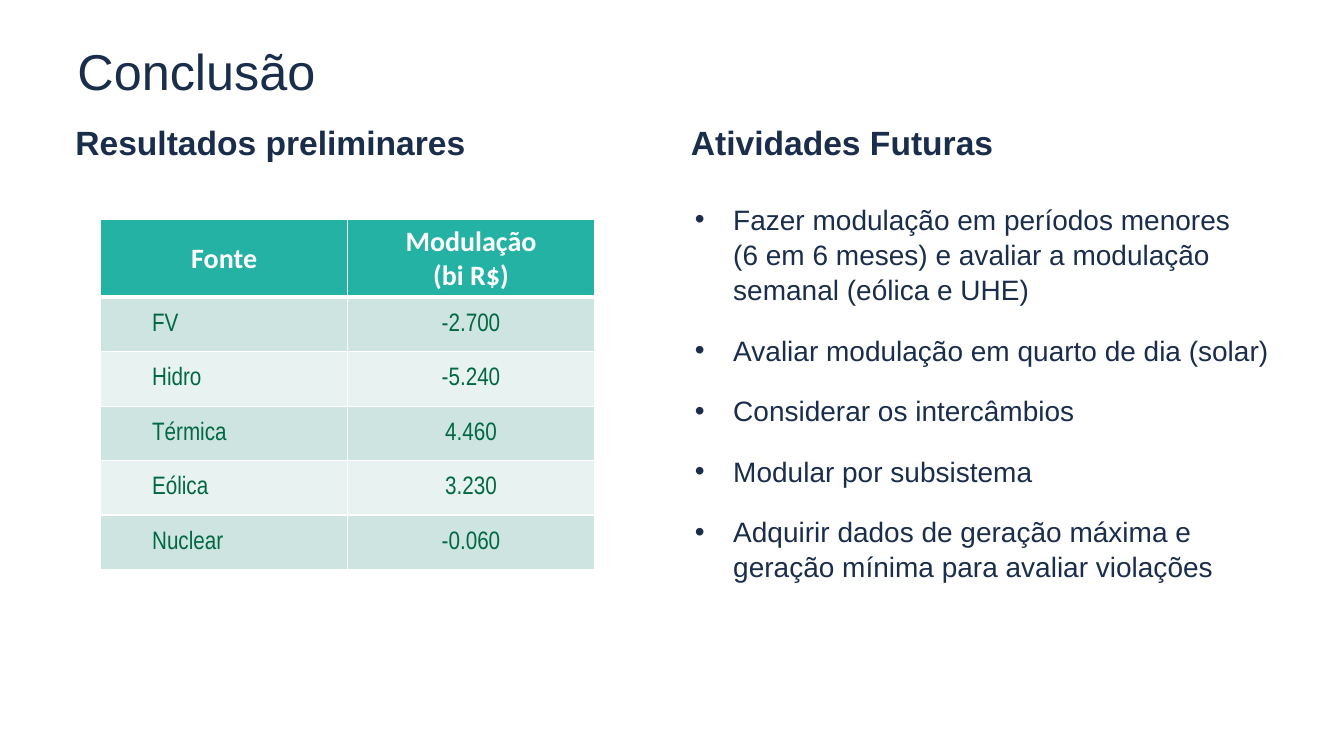
from lxml import etree
from pptx import Presentation
from pptx.dml.color import RGBColor
from pptx.enum.text import MSO_ANCHOR, PP_ALIGN
from pptx.oxml.ns import qn
from pptx.util import Inches, Pt

TOP, MIDDLE, BOTTOM = MSO_ANCHOR.TOP, MSO_ANCHOR.MIDDLE, MSO_ANCHOR.BOTTOM
LEFT, CENTER = PP_ALIGN.LEFT, PP_ALIGN.CENTER

TITLE = "Conclusão"
HEADINGS = [("Resultados preliminares", 0.65), ("Atividades Futuras", 6.76)]
ACTIVITIES = [
    "Fazer modulação em períodos menores\n(6 em 6 meses) e avaliar a modulação semanal (eólica e UHE)",
    "Avaliar modulação em quarto de dia (solar)",
    "Considerar os intercâmbios",
    "Modular por subsistema",
    "Adquirir dados de geração máxima e geração mínima para avaliar violações",
]
RESULTS = [
    ("Fonte", "Modulação\n(bi R$)"),
    ("FV", "-2.700"),
    ("Hidro", "-5.240"),
    ("Térmica", "4.460"),
    ("Eólica", "3.230"),
    ("Nuclear", "-0.060"),
]
COLORS = {
    "navy": "1A2D4B",
    "white": "FFFFFF",
    "header": "24B2A4",
    "green": "016842",
    "odd": "CDE4E0",
    "even": "E8F2F0",
}
SLIDE_WIDTH, SLIDE_HEIGHT = 13.34, 7.5
COLUMN_WIDTH, HEADER_HEIGHT, ROW_HEIGHT = 2.45, 0.77, 0.54
INDENT = 0.38


def rgb(name):
    return RGBColor.from_string(COLORS[name])


def style(paragraph, size, font, color, bold=False):
    paragraph.font.size = Pt(size)
    paragraph.font.name = font
    paragraph.font.color.rgb = rgb(color)
    paragraph.font.bold = bold


def add_text_frame(slide, left, top, width, height, anchor):
    box = slide.shapes.add_textbox(*map(Inches, (left, top, width, height)))
    frame = box.text_frame
    frame.word_wrap = True
    frame.vertical_anchor = anchor
    return frame


def add_activities(slide):
    frame = add_text_frame(slide, 6.8, 1.94, 5.9, 4.6, TOP)
    for index, activity in enumerate(ACTIVITIES):
        paragraph = frame.add_paragraph() if index else frame.paragraphs[0]
        paragraph.text = activity
        paragraph.line_spacing = 1.05
        if index:
            paragraph.space_before = Pt(18)
        properties = paragraph._p.get_or_add_pPr()
        properties.set("marL", str(Inches(INDENT)))
        properties.set("indent", str(-Inches(INDENT)))
        etree.SubElement(properties, qn("a:buFont"), typeface="Arial")
        etree.SubElement(properties, qn("a:buChar"), char="•")
        style(paragraph, 20, "Arial", "navy")


def set_borders(cell, top, bottom):
    properties = cell._tc.get_or_add_tcPr()
    widths = {"lnL": 1, "lnR": 1, "lnT": top, "lnB": bottom}
    for position, (side, width) in enumerate(widths.items()):
        line = etree.Element(qn(f"a:{side}"), w=str(Pt(width)))
        fill = etree.SubElement(line, qn("a:solidFill"))
        etree.SubElement(fill, qn("a:srgbClr"), val=COLORS["white"])
        properties.insert(position, line)


def fill_cell(cell, text, row, column):
    paragraph = cell.text_frame.paragraphs[0]
    paragraph.text = text
    paragraph.alignment = CENTER if row == 0 or column else LEFT
    cell.vertical_anchor = MIDDLE
    cell.fill.solid()
    if row == 0:
        cell.fill.fore_color.rgb = rgb("header")
        style(paragraph, 20, "Calibri", "white", True)
    else:
        cell.fill.fore_color.rgb = rgb("odd" if row % 2 else "even")
        cell.margin_left = cell.margin_right = cell.margin_top = Inches(0.01)
        cell.margin_bottom = 0
        if column == 0:
            paragraph._p.get_or_add_pPr().set("marL", str(Inches(0.5)))
        style(paragraph, 18, "Arial Narrow", "green")
    set_borders(cell, 3 if row == 1 else 1, 3 if row == 0 else 1)


def add_results(slide):
    rows, columns = len(RESULTS), len(RESULTS[0])
    height = HEADER_HEIGHT + ROW_HEIGHT * (rows - 1)
    table = slide.shapes.add_table(
        rows, columns, Inches(1), Inches(2.18),
        Inches(COLUMN_WIDTH * columns), Inches(height),
    ).table
    table.horz_banding = False
    for column in table.columns:
        column.width = Inches(COLUMN_WIDTH)
    for row, texts in enumerate(RESULTS):
        table.rows[row].height = Inches(ROW_HEIGHT if row else HEADER_HEIGHT)
        for column, text in enumerate(texts):
            fill_cell(table.cell(row, column), text, row, column)


def main():
    presentation = Presentation()
    presentation.slide_width = Inches(SLIDE_WIDTH)
    presentation.slide_height = Inches(SLIDE_HEIGHT)
    slide = presentation.slides.add_slide(presentation.slide_layouts[6])

    title = add_text_frame(slide, 0.67, 0.3, 12, 0.7, BOTTOM)
    title.margin_top = title.margin_bottom = 0
    title.text = TITLE
    style(title.paragraphs[0], 36, "Arial", "navy")

    for text, left in HEADINGS:
        heading = add_text_frame(slide, left, 0.96, 5.9, 0.7, BOTTOM)
        heading.text = text
        style(heading.paragraphs[0], 24, "Arial", "navy", True)

    add_activities(slide)
    add_results(slide)
    presentation.save("out.pptx")


if __name__ == "__main__":
    main()
